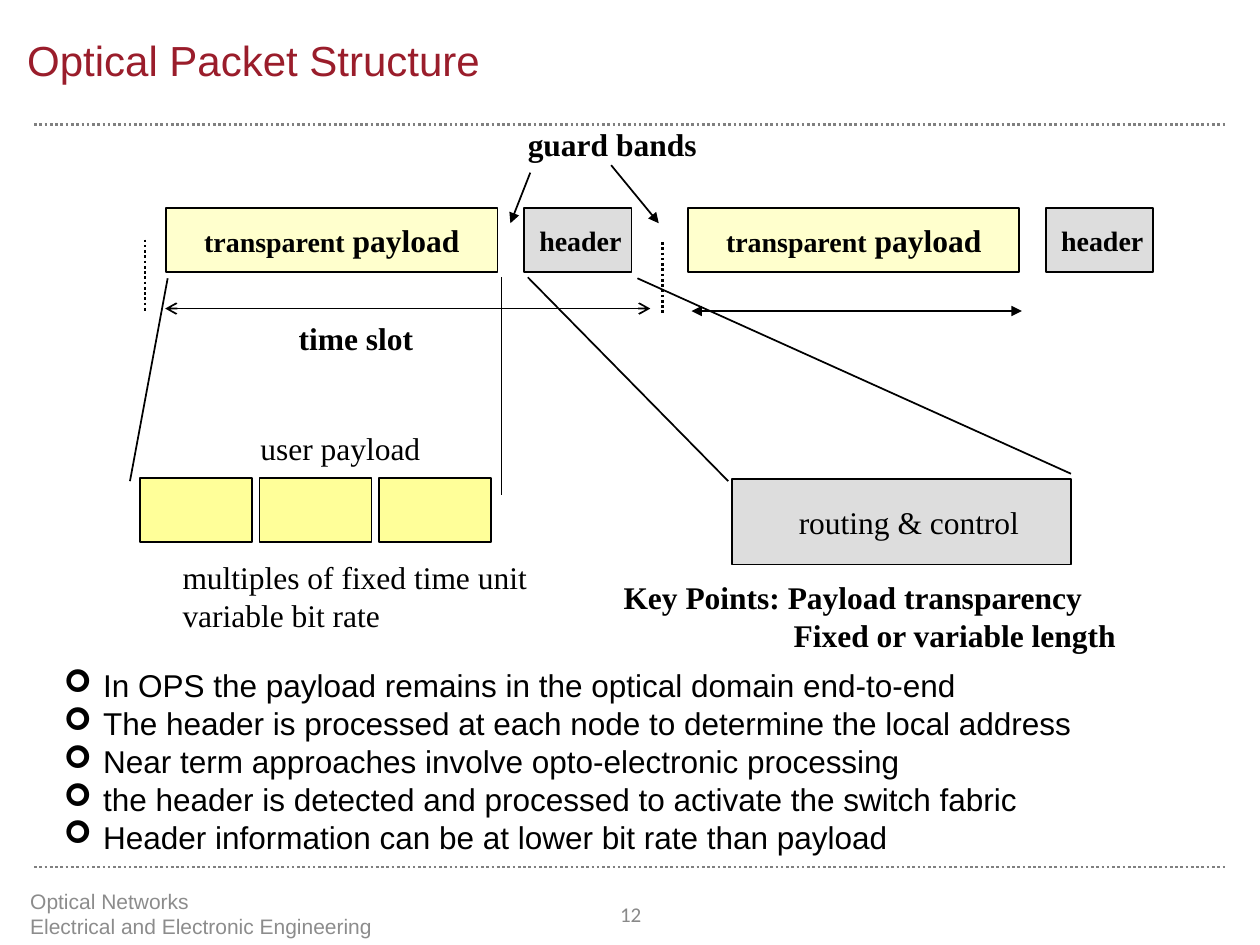
import pptx
import pptx.util
import pptx.dml.color
import pptx.enum.dml
import pptx.enum.shapes
import pptx.enum.text
import lxml.etree
from pptx.oxml.ns import qn

Cm, Pt = pptx.util.Cm, pptx.util.Pt
ANCHOR = pptx.enum.text.MSO_ANCHOR
ALIGN = pptx.enum.text.PP_ALIGN

COLOURS = {
    "title": "9A1D2B", "ink": "000000", "rule": "808080", "footer": "8C8C8C",
    "number": "898989", "payload": "FFFFCD", "unit": "FFFF99", "header": "DDDDDD",
}
SERIF, SANS = "Times New Roman", "Arial"

PAYLOAD_LABEL = [(("transparent", 16), (" payload", 18))]
HEADER_LABEL = [(("header", 16),)]
ROUTING_LABEL = ["routing & control"]
KEY_POINTS = ["Key Points: Payload transparency", "Fixed or variable length"]
FOOTER = ["Optical Networks", "Electrical and Electronic\u00a0Engineering"]
POINTS = [
    "In OPS the payload remains in the optical domain end-to-end",
    "The header is processed at each node to determine the local address",
    "Near term approaches involve opto-electronic processing",
    "the header is detected and processed to activate the switch fabric",
    "Header information can be at lower bit rate than payload",
]
CAPTIONS = [
    (["guard bands"], (10.39, 2.39, 3.96, 1.02), True),
    (["time slot"], (5.77, 6.3, 2.84, 1.02), True),
    (["user payload"], (5, 8.53, 3.76, 1.02), False),
    (["multiples of fixed time unit", "variable bit rate"], (3.43, 11.13, 7.57, 1.8), False),
]
RULES = [(0.69, 2.51, 24.71, 2.51), (0.69, 17.48, 24.71, 17.48)]
SLOT_EDGES = [(2.92, 4.83, 2.92, 6.3), (13.36, 4.88, 13.36, 6.35)]
GUARD_ARROWS = [(12.32, 3.33, 13.28, 4.5), (10.69, 3.48, 10.29, 4.5)]
ZOOM_LINES = [
    (3.38, 5.61, 2.62, 9.7), (10.11, 5.59, 10.11, 9.98),
    (10.64, 5.59, 14.68, 9.7), (12.85, 5.61, 21.59, 9.55),
]
TIME_SLOT = (3.33, 6.22, 13.11, 6.22)
PAYLOAD_SPAN = (13.94, 6.27, 20.6, 6.27)
PACKET_TOP, PACKET_PITCH, BLOCK_HEIGHT = 4.19, 10.52, 1.3
UNIT_LEFT, UNIT_TOP, UNIT_WIDTH, UNIT_PITCH = 2.82, 9.63, 2.26, 2.41

deck = pptx.Presentation()
deck.slide_width, deck.slide_height = Cm(25.4), Cm(19.05)
slide = deck.slides.add_slide(deck.slide_layouts[6])


def colour(name):
    return pptx.dml.color.RGBColor.from_string(COLOURS[name])


def write(frame, paragraphs, size=18, font=SERIF, ink="ink", bold=False,
          align=ALIGN.LEFT, anchor=ANCHOR.TOP, wrap=True, bullet=None, indents=()):
    frame.word_wrap = wrap
    frame.vertical_anchor = anchor
    for index, content in enumerate(paragraphs):
        paragraph = frame.paragraphs[0] if index == 0 else frame.add_paragraph()
        paragraph.alignment = align
        properties = paragraph._p.get_or_add_pPr()
        if indents:
            left, first = indents[index]
            properties.set("marL", str(Cm(left)))
            properties.set("indent", str(Cm(first)))
        if bullet:
            lxml.etree.SubElement(properties, qn("a:buFont"), typeface="Wingdings")
            lxml.etree.SubElement(properties, qn("a:buChar"), char=bullet)
        pieces = ((content, size),) if isinstance(content, str) else content
        for words, points in pieces:
            run = paragraph.add_run()
            run.text = words
            run.font.size, run.font.name, run.font.bold = Pt(points), font, bold
            run.font.color.rgb = colour(ink)


def add_text(place, paragraphs, **style):
    box = slide.shapes.add_textbox(*map(Cm, place))
    write(box.text_frame, paragraphs, **style)


def add_block(place, fill, label=(), inset=0, **style):
    block = slide.shapes.add_shape(pptx.enum.shapes.MSO_SHAPE.RECTANGLE, *map(Cm, place))
    block.shadow.inherit = False
    block.fill.solid()
    block.fill.fore_color.rgb = colour(fill)
    block.line.color.rgb = colour("ink")
    block.line.width = Pt(1)
    frame = block.text_frame
    frame.margin_left, frame.margin_right = Cm(inset), 0
    write(frame, label, align=ALIGN.CENTER, anchor=ANCHOR.MIDDLE, **style)


def add_line(ends, ink="ink", width=1, dotted=False, head=None, tail=None):
    line = slide.shapes.add_connector(pptx.enum.shapes.MSO_CONNECTOR.STRAIGHT, *map(Cm, ends))
    line.line.color.rgb = colour(ink)
    line.line.width = Pt(width)
    if dotted:
        line.line.dash_style = pptx.enum.dml.MSO_LINE.ROUND_DOT
    outline = line.line._get_or_add_ln()
    for tag, arrow in (("a:headEnd", head), ("a:tailEnd", tail)):
        if arrow:
            lxml.etree.SubElement(outline, qn(tag), type=arrow)
    lxml.etree.SubElement(line._element.spPr, qn("a:effectLst"))


for rule in RULES:
    add_line(rule, ink="rule", width=1.5, dotted=True)
add_text((0.3, 0.53, 25.1, 1.3), ["Optical Packet Structure"],
         size=24, font=SANS, ink="title", anchor=ANCHOR.BOTTOM)

for packet in range(2):
    shift = packet * PACKET_PITCH
    add_block((3.35 + shift, PACKET_TOP, 6.68, BLOCK_HEIGHT), "payload", PAYLOAD_LABEL, bold=True)
    add_block((10.57 + shift, PACKET_TOP, 2.16, BLOCK_HEIGHT), "header", HEADER_LABEL,
              inset=0.1, bold=True)
for unit in range(3):
    add_block((UNIT_LEFT + unit * UNIT_PITCH, UNIT_TOP, UNIT_WIDTH, BLOCK_HEIGHT), "unit")
add_block((14.76, 9.65, 6.83, 1.73), "header", ROUTING_LABEL, inset=0.3)

for edge in SLOT_EDGES:
    add_line(edge, width=1.5, dotted=True)
for arrow in GUARD_ARROWS:
    add_line(arrow, tail="triangle")
for zoom in ZOOM_LINES:
    add_line(zoom)
add_line(TIME_SLOT, head="arrow", tail="arrow")
add_line(PAYLOAD_SPAN, head="triangle", tail="triangle")

for caption, place, bold in CAPTIONS:
    add_text(place, caption, bold=bold, wrap=False)
add_text((12.32, 11.53, 13, 1.8), KEY_POINTS, bold=True, indents=[(0, 0), (3.43, 0)])
add_text((1.04, 13.31, 21.87, 4.11), POINTS, font=SANS, bullet="➢",
         indents=[(0.79, -0.79)] * len(POINTS))
add_text((0.36, 17.91, 10.74, 1.02), FOOTER, size=12, font=SANS, ink="footer",
         anchor=ANCHOR.MIDDLE)
add_text((11.71, 17.91, 2.01, 1.02), ["12"], size=12, font="Calibri", ink="number",
         align=ALIGN.CENTER, anchor=ANCHOR.MIDDLE)

deck.save("out.pptx")
